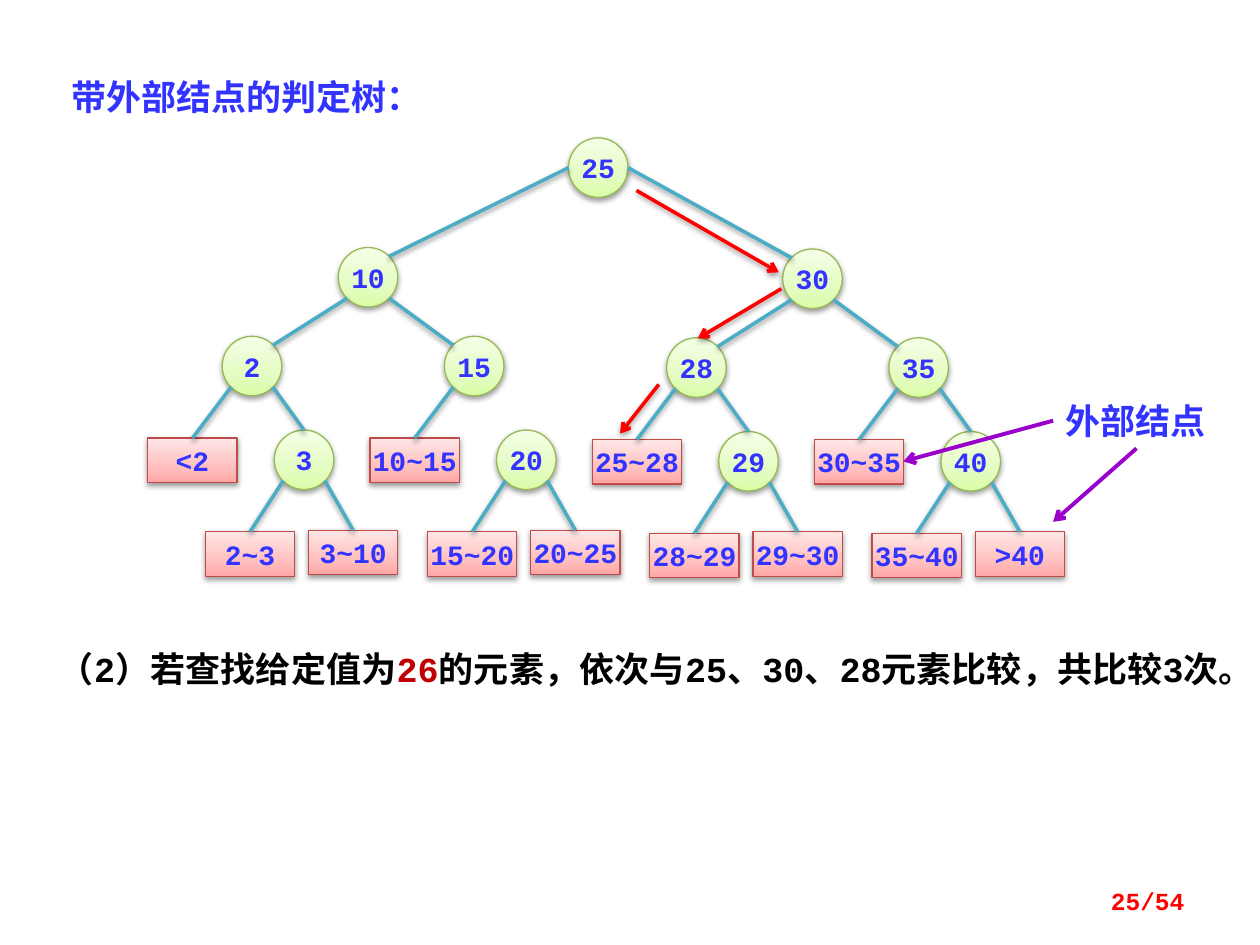
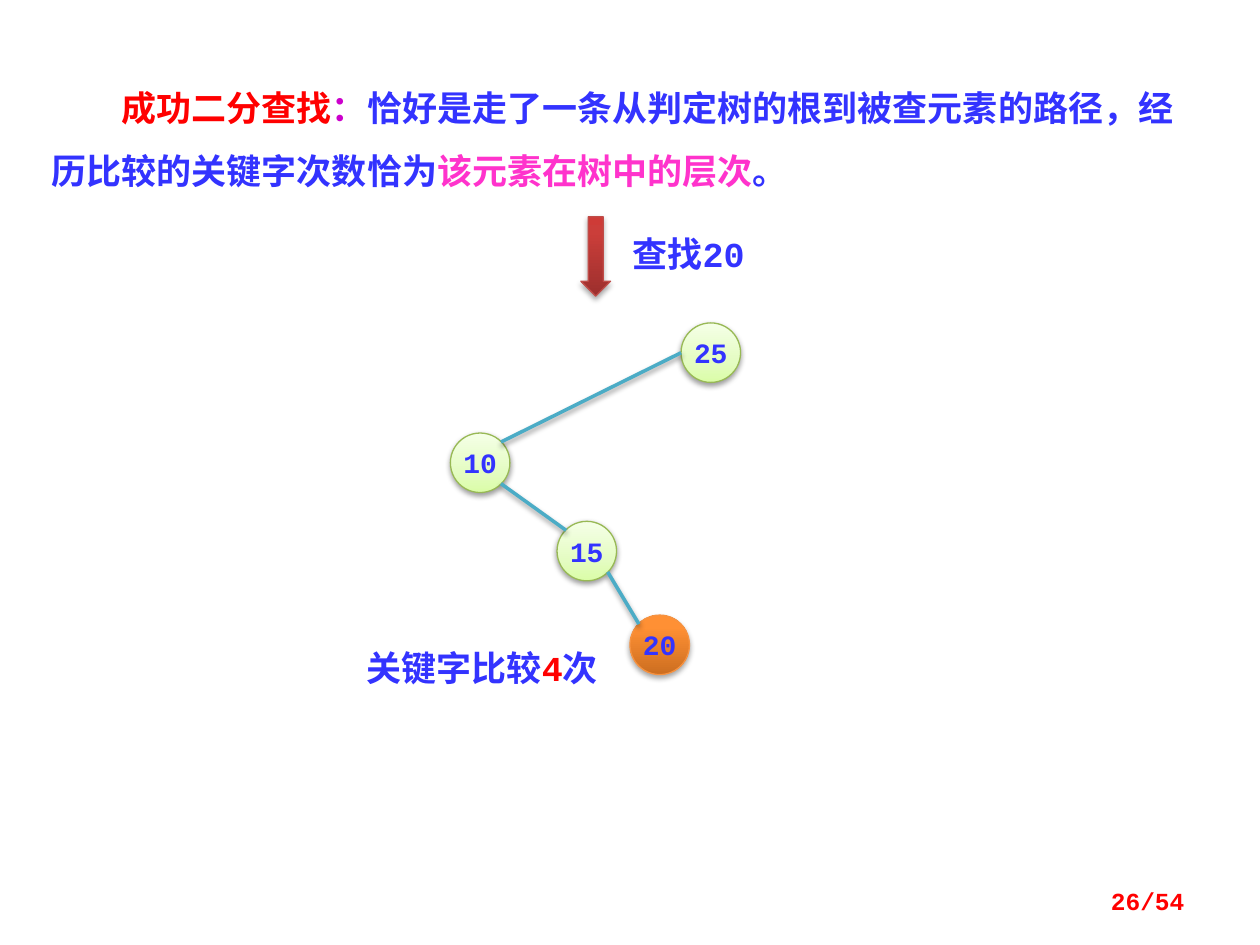
from pptx import Presentation
from pptx.dml.color import RGBColor
from pptx.enum.lang import MSO_LANGUAGE_ID
from pptx.enum.shapes import MSO_CONNECTOR, MSO_SHAPE
from pptx.enum.text import MSO_ANCHOR, PP_ALIGN
from pptx.oxml import parse_xml
from pptx.oxml.ns import nsdecls, qn
from pptx.util import Cm, Pt
from lxml.etree import SubElement

CODE_FONT = "Courier New"
CHINESE_FONT = "Noto Sans CJK SC"
BLUE, RED, BLACK = "3333FF", "FF0000", "000000"
DARK_RED, PURPLE, VIOLET, PINK = "C00000", "9900CC", "CC00CC", "FF33CC"
EDGE = "4BACC6"

# Looks: gradient stops from bottom to top, outline, shadow distance and opacity
GREEN_LOOK = ([(0, "DAFDA7"), (35, "E4FCC2"), (100, "F5FFE7")], "98B955", 20000, 38)
ROSE_LOOK = ([(0, "FFA6A5"), (35, "FFC0BF"), (100, "FFE7E7")], "BF4C48", 20000, 38)
ORANGE_LOOK = ([(0, "CC6E20"), (80, "FF9034"), (100, "FF9136")], "F69240", 23000, 35)
CRIMSON_LOOK = ([(0, "9C2F2D"), (80, "CB3E3A"), (100, "CE3B37")], "BF4C48", 23000, 35)
SHADOW = (
    f'<a:effectLst {nsdecls("a")}><a:outerShdw blurRad="40000" dist="%d" dir="5400000" '
    'rotWithShape="0"><a:srgbClr val="000000"><a:alpha val="%d000"/></a:srgbClr>'
    "</a:outerShdw></a:effectLst>"
)

# Sizes in centimetres
RADIUS = 0.6
DIAGONAL = 0.42
LEAF_WIDTH, LEAF_HEIGHT = 1.8, 0.9


def add_box(slide, place, runs, size=20, preset=None, look=None, font_name=CODE_FONT):
    """Add a text box, or a shaded preset shape with centred text; runs are (text, colour)."""
    lengths = [Cm(length) for length in place]
    if preset is None:
        shape = slide.shapes.add_textbox(*lengths)
    else:
        shape = slide.shapes.add_shape(preset, *lengths)
        stops, outline, distance, opacity = look
        shape.line.color.rgb = RGBColor.from_string(outline)
        shape.line.width = Pt(0.75)
        stop_xml = "".join(
            f'<a:gs pos="{position}000"><a:srgbClr val="{colour}"/></a:gs>'
            for position, colour in stops
        )
        properties = shape._element.spPr
        properties.find(qn("a:prstGeom")).addnext(parse_xml(
            f'<a:gradFill {nsdecls("a")} rotWithShape="1"><a:gsLst>{stop_xml}</a:gsLst>'
            '<a:lin ang="16200000" scaled="0"/></a:gradFill>'
        ))
        properties.append(parse_xml(SHADOW % (distance, opacity)))
    frame = shape.text_frame
    frame.word_wrap = preset is None
    paragraph = frame.paragraphs[0]
    if preset is not None:
        frame.margin_left = frame.margin_right = frame.margin_top = frame.margin_bottom = 0
        frame.vertical_anchor = MSO_ANCHOR.MIDDLE
        paragraph.alignment = PP_ALIGN.CENTER
    paragraph.font.name = font_name
    paragraph.font.size = Pt(size)
    paragraph.font.bold = True
    paragraph.font.language_id = MSO_LANGUAGE_ID.SIMPLIFIED_CHINESE
    for text, colour in runs:
        run = paragraph.add_run()
        run.text = text
        run.font.color.rgb = RGBColor.from_string(colour)
    return shape


def add_line(slide, start, end, colour=EDGE, width=2, arrow=False, shadow=True):
    line = slide.shapes.add_connector(
        MSO_CONNECTOR.STRAIGHT, *[Cm(length) for length in (*start, *end)]
    )
    line.line.color.rgb = RGBColor.from_string(colour)
    line.line.width = Pt(width)
    if arrow:
        SubElement(line.line._get_or_add_ln(), qn("a:tailEnd"), type="arrow")
    properties = line._element.spPr
    if shadow:
        properties.append(parse_xml(SHADOW % (20000, 38)))
    else:
        SubElement(properties, qn("a:effectLst"))


presentation = Presentation()
presentation.slide_width = Cm(25.4)
presentation.slide_height = Cm(19.05)
blank_layout = presentation.slide_layouts[6]
tree_slide = presentation.slides.add_slide(blank_layout)
path_slide = presentation.slides.add_slide(blank_layout)

# Slide 1: decision tree with external nodes
conclusion = add_box(tree_slide, (0.94, 12.93, 23.88, 2), [
    ("（2）若查找给定值为", BLACK),
    ("26", DARK_RED),
    ("的元素，依次与25、30、28元素比较，共比较3次。", BLACK),
])
conclusion.text_frame.paragraphs[0].alignment = PP_ALIGN.JUSTIFY

root_x, root_y = 12.06, 3.38
nodes = [("25", root_x, root_y)]
leaves = []
edges = []
subtrees = [
    ("10", [("2", "<2", "3", "2~3", "3~10"),
            ("15", "10~15", "20", "15~20", "20~25")]),
    ("30", [("28", "25~28", "29", "28~29", "29~30"),
            ("35", "30~35", "40", "35~40", ">40")]),
]
for side, (parent, branches) in enumerate(subtrees):
    drop = 0.03 * side
    parent_x, parent_y = 7.42 + 8.96 * side, 5.59 + drop
    toward_root = 1 - 2 * side
    nodes.append((parent, parent_x, parent_y))
    edges.append(((root_x - RADIUS * toward_root, root_y),
                  (parent_x + DIAGONAL * toward_root, parent_y - DIAGONAL)))
    for turn, (key, left_leaf, inner, low_leaf, high_leaf) in enumerate(branches):
        x, y = 5.08 + 8.96 * side + 4.48 * turn, 7.38 + drop
        inner_x, inner_y = x + 1.05, y + 1.89
        toward_parent = 1 - 2 * turn
        nodes += [(key, x, y), (inner, inner_x, inner_y)]
        leaves += [(left_leaf, x - 1.2, y + 1.45),
                   (low_leaf, x - 0.04, y + 3.34),
                   (high_leaf, x + 2.04, y + 3.31)]
        edges += [
            ((parent_x - DIAGONAL * toward_parent, parent_y + DIAGONAL),
             (x + DIAGONAL * toward_parent, y - DIAGONAL)),
            ((x - DIAGONAL, y + DIAGONAL), (x - 1.2, y + 1.45)),
            ((inner_x - DIAGONAL, inner_y + DIAGONAL), (x - 0.04, y + 3.34)),
            ((inner_x + DIAGONAL, inner_y + DIAGONAL), (x + 2.04, y + 3.31)),
        ]
        if key != "15":
            edges.append(((x + DIAGONAL, y + DIAGONAL), (inner_x, inner_y - RADIUS)))

for label, x, y in nodes:
    add_box(tree_slide, (x - RADIUS, y - RADIUS, 2 * RADIUS, 2 * RADIUS),
            [(label, BLUE)], 16, MSO_SHAPE.OVAL, GREEN_LOOK)
for label, x, top in leaves:
    add_box(tree_slide, (x - LEAF_WIDTH / 2, top, LEAF_WIDTH, LEAF_HEIGHT),
            [(label, BLUE)], 16, MSO_SHAPE.RECTANGLE, ROSE_LOOK)

add_box(tree_slide, (21.23, 7.92, 3.38, 1.11), [("外部结点", BLUE)], font_name=CHINESE_FONT)
add_box(tree_slide, (1.19, 1.4, 9.53, 1.11), [("带外部结点的判定树：", BLUE)])
for start, end in [((22.91, 9.04), (21.23, 10.52)), ((21.23, 8.48), (18.21, 9.3))]:
    add_line(tree_slide, start, end, PURPLE, 2.25, arrow=True, shadow=False)
for start, end in edges:
    add_line(tree_slide, start, end)
search_steps = [
    ((12.83, 3.84), (15.7, 5.49)),
    ((15.75, 5.82), (14.07, 6.82)),
    ((13.28, 7.75), (12.5, 8.74)),
]
for start, end in search_steps:
    add_line(tree_slide, start, end, RED, arrow=True)

# Slide 2: path of a successful search
definition = add_box(path_slide, (0.79, 1.19, 23.62, 2.67), [
    ("成功二分查找", RED),
    ("：", VIOLET),
    ("恰好是走了一条从判定树的根到被查元素的路径，经历比较的关键字次数恰为", BLUE),
    ("该元素在树中的层次", PINK),
    ("。", BLUE),
]).text_frame.paragraphs[0]
definition.line_spacing = 1.5
definition._p.get_or_add_pPr().set("indent", str(Pt(40)))

path_nodes = [
    ("25", 14.33, 7.11, GREEN_LOOK),
    ("10", 9.68, 9.33, GREEN_LOOK),
    ("15", 11.83, 11.11, GREEN_LOOK),
    ("20", 13.3, 13, ORANGE_LOOK),
]
for label, x, y, look in path_nodes:
    add_box(path_slide, (x - RADIUS, y - RADIUS, 2 * RADIUS, 2 * RADIUS),
            [(label, BLUE)], 16, MSO_SHAPE.OVAL, look)
add_box(path_slide, (12.5, 4.57, 3.38, 1.11), [("查找20", BLUE)])
add_box(path_slide, (7.14, 12.9, 5.56, 1.11),
        [("关键字比较", BLUE), ("4", RED), ("次", BLUE)])

(_, root_x, root_y, _), (_, left_x, left_y, _) = path_nodes[:2]
add_line(path_slide, (root_x - RADIUS, root_y), (left_x + DIAGONAL, left_y - DIAGONAL))
for (_, x, y, _), (_, next_x, next_y, _) in zip(path_nodes[1:], path_nodes[2:]):
    add_line(path_slide, (x + DIAGONAL, y + DIAGONAL),
             (next_x - DIAGONAL, next_y - DIAGONAL))
add_box(path_slide, (11.71, 4.37, 0.6, 1.6), [], 16, MSO_SHAPE.DOWN_ARROW, CRIMSON_LOOK)

# Page numbers
for number, slide in enumerate(presentation.slides, start=25):
    footer = add_box(slide, (18.21, 17.65, 5.92, 1.02), [(f"{number}/54", RED)], 14)
    footer.text_frame.vertical_anchor = MSO_ANCHOR.MIDDLE
    footer.text_frame.paragraphs[0].alignment = PP_ALIGN.RIGHT

presentation.save("out.pptx")
